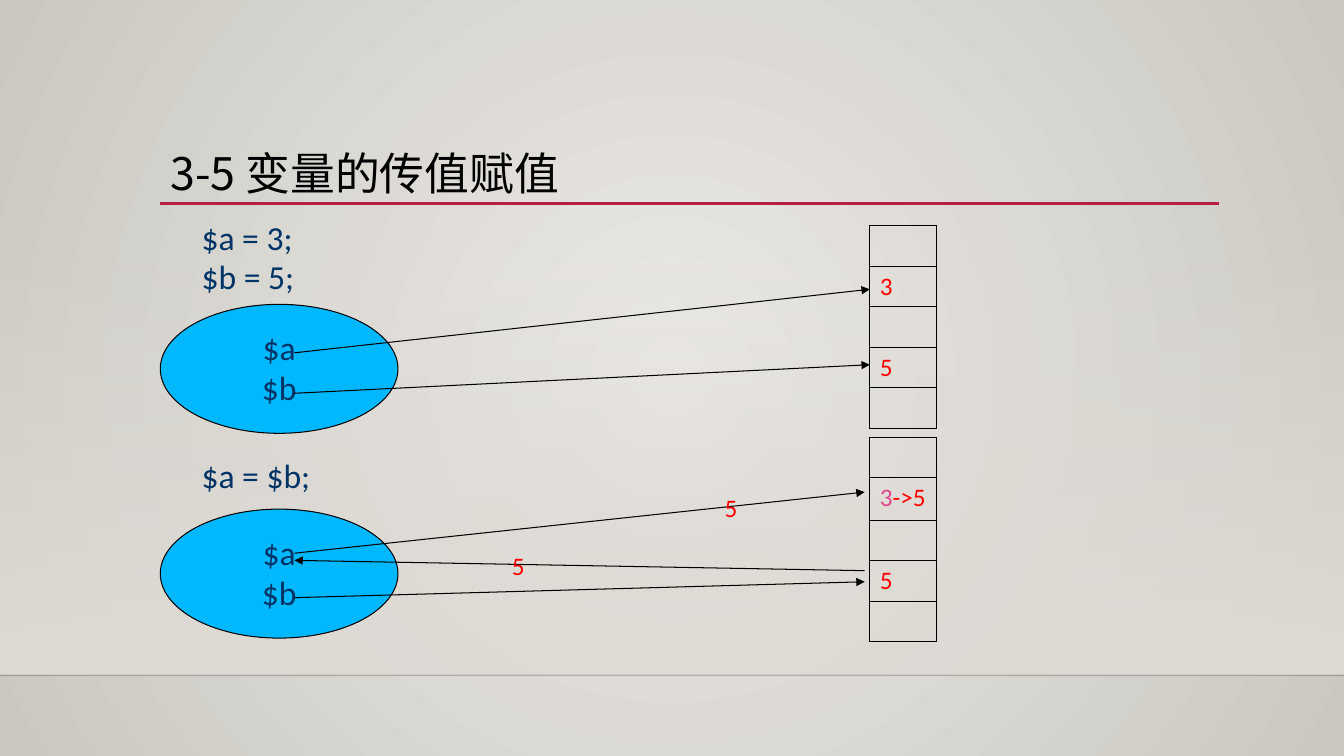
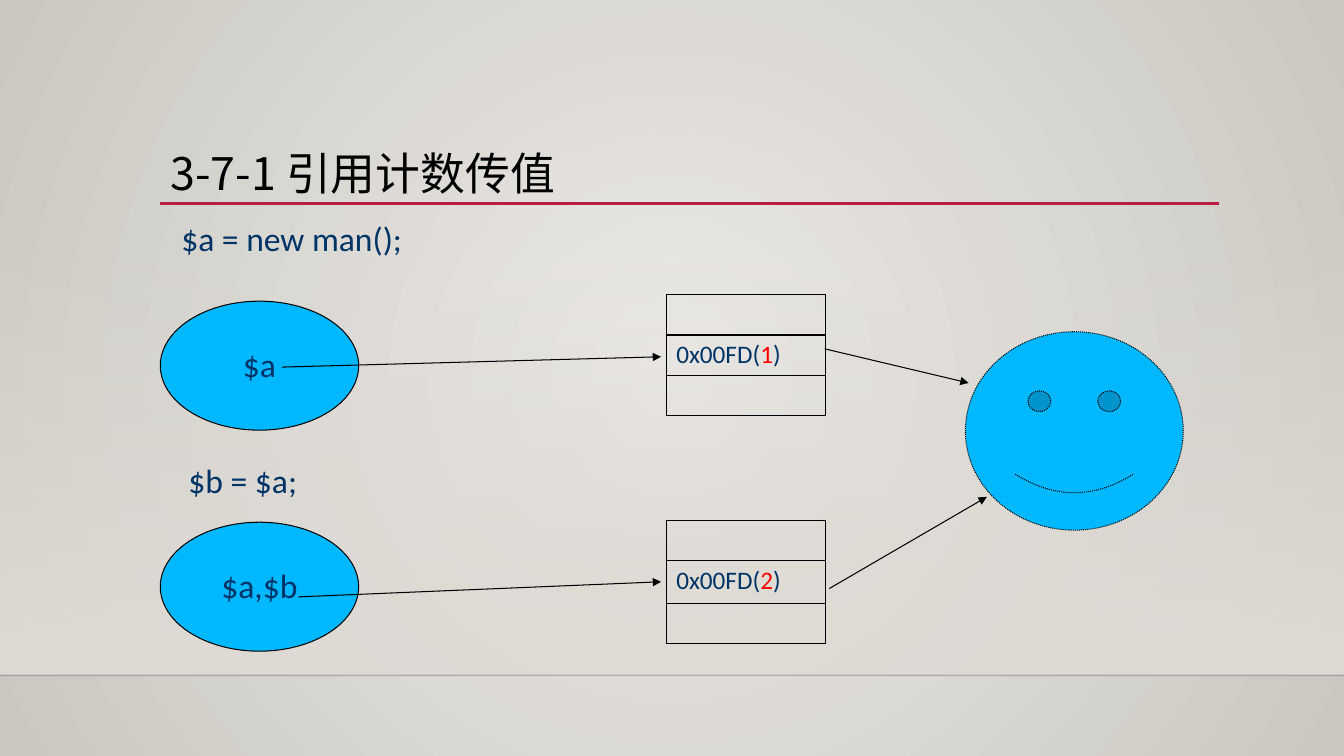
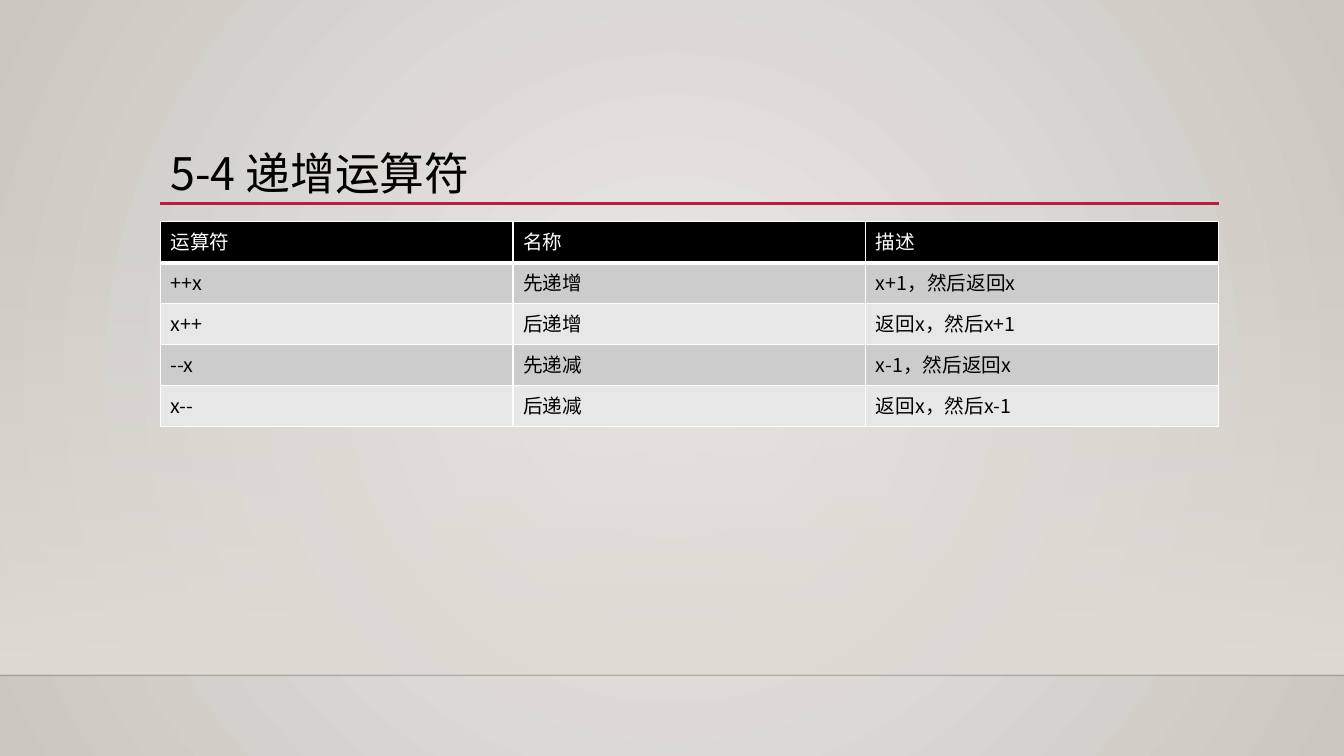
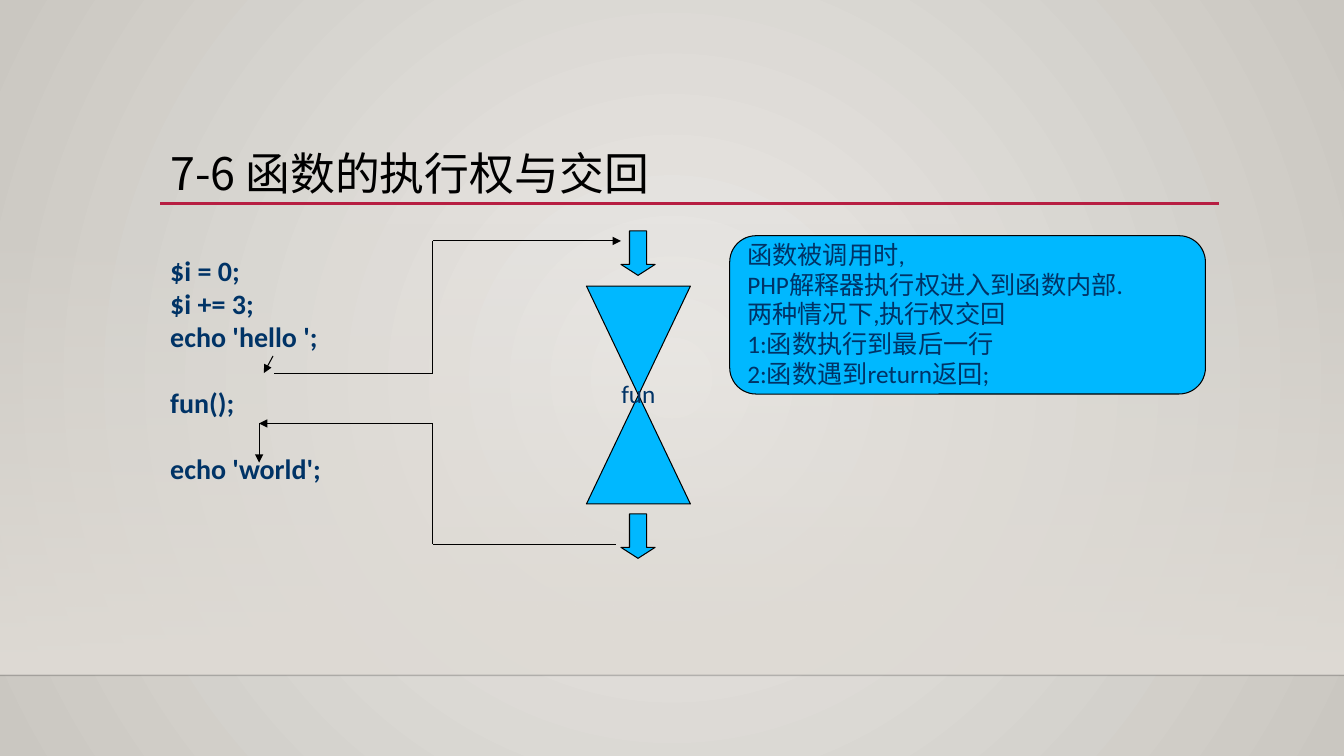
from itertools import pairwise

from pptx import Presentation
from pptx.dml.color import RGBColor
from pptx.enum import dml, shapes, text
from pptx.oxml import ns, xmlchemy
from pptx.util import Cm, Pt

# Shared look
BLACK, WHITE, RED, PINK = "000000", "FFFFFF", "FF0000", "DE478E"
NAVY, SKY, CRIMSON, SAND = "003366", "00B8FF", "B71E42", "DFDBD5"
BODY_FONT, CJK_FONT = "Calibri", "Noto Sans CJK SC"
PAGE_W, PAGE_H = 33.87, 19.05
LEFT, CONTENT_W = 4.04, 26.67
ROW_H, TALL_ROW_H = 1.02, 1.07
SHAPE = shapes.MSO_SHAPE


def rgb(value):
    return RGBColor.from_string(value)


def sub(parent, tag, **attributes):
    """Append an XML child and return it."""
    child = xmlchemy.OxmlElement(tag)
    for key, value in attributes.items():
        child.set(key, str(value))
    parent.append(child)
    return child


def write(frame, lines, size=24, color=NAVY, font=BODY_FONT, bold=False,
          align=text.PP_ALIGN.LEFT, spacing=0.98, gaps=None):
    """Fill a frame; a line is a string or a list of (text, colour) runs."""
    for i, line in enumerate(lines):
        para = frame.add_paragraph() if i else frame.paragraphs[0]
        para.alignment, para.line_spacing = align, spacing
        para.font.size, para.font.name, para.font.bold = Pt(size), font, bold
        if gaps and i in gaps:
            para.space_before = Pt(gaps[i])
        for words, run_color in [(line, color)] if isinstance(line, str) else line:
            run = para.add_run()
            run.text = words
            run.font.color.rgb = rgb(run_color)


def add_text(slide, box, lines, **style):
    frame = slide.shapes.add_textbox(*map(Cm, box)).text_frame
    frame.word_wrap = True
    write(frame, lines, **style)
    return frame


def add_figure(slide, kind, box, lines=(), wrap=False, **style):
    figure = slide.shapes.add_shape(kind, *map(Cm, box))
    figure.shadow.inherit = False
    figure.fill.solid()
    figure.fill.fore_color.rgb = rgb(SKY)
    figure.line.color.rgb = rgb(BLACK)
    figure.line.width = Pt(0.75)
    figure.text_frame.word_wrap = wrap
    figure.text_frame.vertical_anchor = text.MSO_ANCHOR.MIDDLE
    write(figure.text_frame, lines, **style)
    return figure


def add_oval(slide, box, lines):
    add_figure(slide, SHAPE.OVAL, box, lines, align=text.PP_ALIGN.CENTER)


def add_line(slide, start, end, color=BLACK, width=0.75, arrow=False):
    line = slide.shapes.add_connector(
        shapes.MSO_CONNECTOR.STRAIGHT, *map(Cm, (*start, *end)))
    line.line.color.rgb = rgb(color)
    line.line.width = Pt(width)
    properties = line.element.spPr
    if arrow:
        sub(properties.find(ns.qn("a:ln")), "a:tailEnd", type="triangle")
    sub(properties, "a:effectLst")
    return line


def add_route(slide, points):
    """Join points with lines; the last one carries the arrowhead."""
    legs = list(pairwise(points))
    for leg in legs:
        add_line(slide, *leg, arrow=leg == legs[-1])


def add_grid(slide, left, top, width, heights, columns=1):
    holder = slide.shapes.add_table(
        len(heights), columns, *map(Cm, (left, top, width, sum(heights))))
    grid = holder.table
    grid.first_row = grid.horz_banding = False
    for row, height in zip(grid.rows, heights):
        row.height = Cm(height)
    return holder


def set_borders(holder, color, heavy_header=False):
    """Draw all cell edges at 1 pt, optionally 3 pt under the header."""
    for r, row in enumerate(holder.element.iter(ns.qn("a:tr"))):
        for cell in row.iter(ns.qn("a:tcPr")):
            for i, side in enumerate("LRTB"):
                heavy = heavy_header and (r, side) in ((0, "B"), (1, "T"))
                edge = sub(cell, f"a:ln{side}", w=Pt(3 if heavy else 1))
                sub(sub(edge, "a:solidFill"), "a:srgbClr", val=color)
                cell.insert(i, edge)


def add_memory(slide, left, top, width, heights, values):
    """A column of memory cells; values maps row number to runs."""
    holder = add_grid(slide, left, top, width, heights)
    for r in range(len(heights)):
        cell = holder.table.cell(r, 0)
        cell.fill.background()
        if r in values:
            write(cell.text_frame, [values[r]], size=18)
    set_borders(holder, BLACK)


def set_master(prs, slide):
    """Give the master its background, floor band and rules."""
    master = prs.slide_master
    fill = master.background.fill
    fill.gradient()
    for stop, color in zip(fill.gradient_stops, ("ECEAE7", "CAC7C1")):
        stop.color.rgb = rgb(color)
    gradient = next(master.element.iter(ns.qn("a:gradFill")))
    gradient.remove(gradient.find(ns.qn("a:lin")))
    circle = sub(gradient, "a:path", path="circle")
    sub(circle, "a:fillToRect", l=50000, t=50000, r=50000, b=50000)

    # Band that fades in towards the floor line
    band = add_figure(slide, SHAPE.RECTANGLE, (0, 5.61, PAGE_W, 11.4))
    band.line.fill.background()
    band.fill.gradient()
    band.fill.gradient_angle = 270
    for stop in band.fill.gradient_stops:
        stop.color.rgb = rgb(SAND)
    sub(next(band.element.iter(ns.qn("a:srgbClr"))), "a:alpha", val=0)

    floor = add_line(slide, (0, 17.02), (PAGE_W, 17.02), "000001", 1)
    sub(next(floor.element.iter(ns.qn("a:srgbClr"))), "a:alpha", val=20000)
    rule = add_line(slide, (LEFT, 5.13), (30.73, 5.13), CRIMSON, 2.5)
    for number, part in enumerate((band, floor, rule), 101):
        next(part.element.iter(ns.qn("p:cNvPr"))).set("id", str(number))
        master.shapes.element.append(part.element)


def add_slide(prs, title):
    slide = prs.slides.add_slide(prs.slide_layouts[6])
    if len(prs.slides) == 1:
        set_master(prs, slide)
    frame = add_text(slide, (LEFT, 3.66, CONTENT_W, 1.5), [title], size=32,
                     color=BLACK, font=CJK_FONT, spacing=0.9)
    frame.vertical_anchor = text.MSO_ANCHOR.BOTTOM
    return slide


def build_assignment(prs):
    slide = add_slide(prs, "3-5 变量的传值赋值")
    add_text(slide, (4.83, 5.38, 6.3, 2.24), ["$a = 3;", "$b = 5;"])
    add_text(slide, (4.83, 11.4, 4.09, 1.24), ["$a = $b;"])
    for top in (7.67, 12.83):
        add_oval(slide, (LEFT, top, 5.99, 3.25), ["$a", "$b"])
    five = [("5", RED)]
    add_memory(slide, 21.92, 5.69, 1.68, [ROW_H] * 5, {1: [("3", RED)], 3: five})
    add_memory(slide, 21.92, 11.02, 1.68,
               [ROW_H, TALL_ROW_H, ROW_H, ROW_H, ROW_H],
               {1: [("3", PINK), ("->5", RED)], 3: five})
    for start, end in (
            ((7.42, 8.89), (21.92, 7.29)), ((7.42, 9.91), (21.92, 9.19)),
            ((7.42, 13.94), (21.79, 12.4)), ((7.42, 15.06), (21.79, 14.66)),
            ((21.79, 14.38), (7.42, 14.12))):
        add_line(slide, start, end, arrow=True)
    for left, top in ((12.65, 13.77), (18.01, 12.32)):
        add_text(slide, (left, top, 1.3, 0.99), [five], size=18)


def build_reference_count(prs):
    slide = add_slide(prs, "3-7-1 引用计数传值")
    add_text(slide, (4.32, 5.41, 10.26, 2.08), ["$a = new man();"])
    add_text(slide, (4.5, 11.51, 4.09, 1.24), ["$b = $a;"])
    for names, oval_top, memory_top, count, middle_row in (
            ("$a", 7.59, 7.42, "1", ROW_H),
            ("$a,$b", 13.16, 13.11, "2", TALL_ROW_H)):
        add_oval(slide, (LEFT, oval_top, 5, 3.25), [names])
        add_memory(slide, 16.79, memory_top, 4.01, [ROW_H, middle_row, ROW_H],
                   {1: [("0x00FD(", NAVY), (count, RED), (")", NAVY)]})
    for start, end in (
            ((7.11, 9.25), (16.66, 8.99)), ((20.78, 8.79), (24.41, 9.65)),
            ((7.52, 15.04), (16.66, 14.66)), ((20.9, 14.83), (24.87, 12.52))):
        add_line(slide, start, end, arrow=True)
    man = add_figure(slide, SHAPE.SMILEY_FACE, (24.33, 8.36, 5.49, 5))
    man.line.dash_style = dml.MSO_LINE.ROUND_DOT


def build_operators(prs):
    slide = add_slide(prs, "5-4 递增运算符")
    operators = (
        ("运算符", "名称", "描述"),
        ("++x", "先递增", "x+1，然后返回x"),
        ("x++", "后递增", "返回x，然后x+1"),
        ("--x", "先递减", "x-1，然后返回x"),
        ("x--", "后递减", "返回x，然后x-1"))
    holder = add_grid(slide, LEFT, 5.59, CONTENT_W, [1.03] * len(operators), 3)
    for r, entries in enumerate(operators):
        back = ("CCCCCC" if r % 2 else "E7E7E7") if r else BLACK
        for c, entry in enumerate(entries):
            cell = holder.table.cell(r, c)
            cell.fill.solid()
            cell.fill.fore_color.rgb = rgb(back)
            write(cell.text_frame, [entry], size=14, font=CJK_FONT,
                  color=BLACK if r else WHITE, spacing=1.0)
    set_borders(holder, WHITE, heavy_header=True)


def build_function_call(prs):
    slide = add_slide(prs, "7-6 函数的执行权与交回")
    code = ["$i = 0;", "$i += 3;", "echo 'hello ';", "fun();", "echo 'world';"]
    add_text(slide, (LEFT, 6.3, 9.25, 6.07), code, size=20, bold=True,
             gaps={3: 23.9, 4: 23.9})

    # Function body with its entry and exit
    add_figure(slide, SHAPE.FLOWCHART_COLLATE, (14.78, 7.21, 2.62, 5.49),
               ["fun"], size=18, align=text.PP_ALIGN.CENTER)
    for top in (5.82, 12.95):
        gate = add_figure(slide, SHAPE.DOWN_ARROW, (15.65, top, 0.86, 1.12))
        gate.adjustments[1] = 0.32

    # Path of control
    for points in (
            [(6.91, 9.4), (10.9, 9.4), (10.9, 6.07), (15.65, 6.07)],
            [(15.52, 13.72), (10.9, 13.72), (10.9, 10.67), (6.53, 10.67)],
            [(6.88, 8.97), (6.65, 9.4)],
            [(6.53, 10.67), (6.53, 11.66)]):
        add_route(slide, points)

    add_figure(slide, SHAPE.ROUNDED_RECTANGLE, (18.39, 5.94, 11.99, 3.99),
               ["函数被调用时,", "PHP解释器执行权进入到函数内部.",
                "两种情况下,执行权交回", "1:函数执行到最后一行",
                "2:函数遇到return返回;"], wrap=True, size=18)


def main():
    prs = Presentation()
    prs.slide_width, prs.slide_height = Cm(PAGE_W), Cm(PAGE_H)
    build_assignment(prs)
    build_reference_count(prs)
    build_operators(prs)
    build_function_call(prs)

    # Chinese glyphs take the same font everywhere
    for slide in prs.slides:
        for latin in list(slide.element.iter(ns.qn("a:latin"))):
            east_asian = xmlchemy.OxmlElement("a:ea")
            east_asian.set("typeface", CJK_FONT)
            latin.addnext(east_asian)
    prs.save("out.pptx")


if __name__ == "__main__":
    main()
